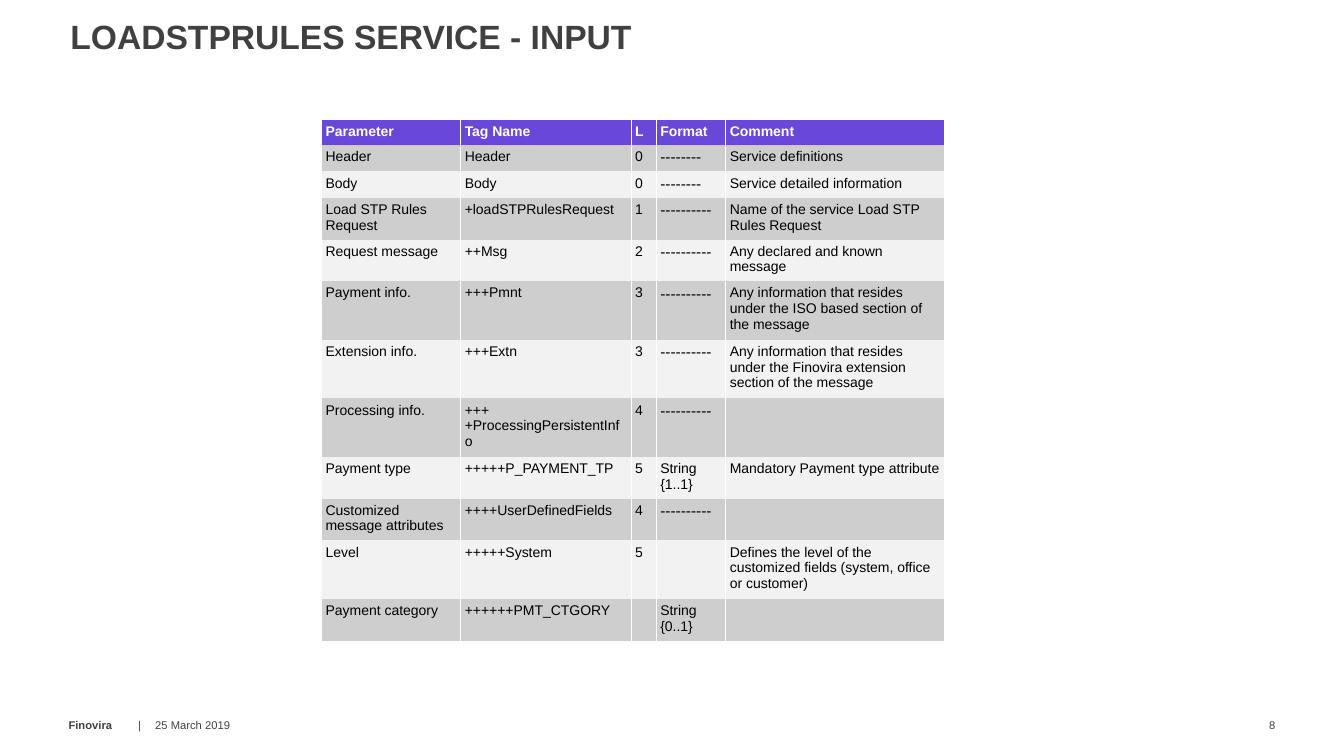
import pptx
import pptx.dml.color
import pptx.enum.text
import pptx.oxml.ns
import pptx.util
from lxml import etree

COLORS = {"title": "404040", "footer": "414141", "header": "6948D9",
          "odd": "CECECE", "even": "F2F2F2", "white": "FFFFFF", "black": "000000"}
FONT = "Arial"
ALIGN = pptx.enum.text.PP_ALIGN
ANCHOR = pptx.enum.text.MSO_ANCHOR

COLUMN_WEIGHTS = [1.38, 1.69, 0.25, 0.69, 2.17]
HEADER_WEIGHT = 23
LINE_WEIGHTS = {1: 25.5, 2: 39, 3: 55}
HEADINGS = ["Parameter", "Tag Name", "L", "Format", "Comment"]
SHORT_DASHES = "-" * 8
DASHES = "-" * 10
# Each row starts with the number of text lines it holds.
PARAMETERS = [
    (1, "Header", "Header", "0", SHORT_DASHES, "Service definitions"),
    (1, "Body", "Body", "0", SHORT_DASHES, "Service detailed information"),
    (2, "Load STP Rules Request", "+loadSTPRulesRequest", "1", DASHES,
     "Name of the service Load STP Rules Request"),
    (2, "Request message", "++Msg", "2", DASHES, "Any declared and known message"),
    (3, "Payment info.", "+++Pmnt", "3", DASHES,
     "Any information that resides under the ISO based section of the message"),
    (3, "Extension info.", "+++Extn", "3", DASHES,
     "Any information that resides under the Finovira extension section of the message"),
    (3, "Processing info.", "++++ProcessingPersistentInfo", "4", DASHES, ""),
    (2, "Payment type", "+++++P_PAYMENT_TP", "5", "String {1..1}",
     "Mandatory Payment type attribute"),
    (2, "Customized message attributes", "++++UserDefinedFields", "4", DASHES, ""),
    (3, "Level", "+++++System", "5", "",
     "Defines the level of the customized fields (system, office or customer)"),
    (2, "Payment category", "++++++PMT_CTGORY", "", "String {0..1}", ""),
]


def share(box, left, top, width, height):
    """Return the part of box given in percent of its size."""
    x, y, w, h = box
    return (int(x + w * left / 100), int(y + h * top / 100),
            int(w * width / 100), int(h * height / 100))


def style(font, size, color, bold=False):
    font.name = FONT
    font.size = pptx.util.Pt(size)
    font.bold = bold
    font.color.rgb = pptx.dml.color.RGBColor.from_string(COLORS[color])


def add_title(page, box):
    frame = page.shapes.add_textbox(*box).text_frame
    frame.word_wrap = True
    frame.text = "LOADSTPRULES SERVICE - INPUT"
    para = frame.paragraphs[0]
    para.line_spacing = 0.8
    style(para.runs[0].font, 24, "title", True)


def add_footer_text(page, box, text, align=ALIGN.LEFT):
    frame = page.shapes.add_textbox(*box).text_frame
    frame.word_wrap = True
    frame.vertical_anchor = ANCHOR.MIDDLE
    frame.margin_left = frame.margin_right = frame.margin_top = frame.margin_bottom = 0
    frame.text = text
    para = frame.paragraphs[0]
    para.alignment = align
    style(para.runs[0].font, 8, "footer")
    return para


def add_footer(page, box):
    owner = add_footer_text(page, share(box, 0, 0, 7.44, 100), "Finovira")
    owner.runs[0].font.bold = True
    tabs = etree.SubElement(owner._p.get_or_add_pPr(), pptx.oxml.ns.qn("a:tabLst"))
    etree.SubElement(tabs, pptx.oxml.ns.qn("a:tab"),
                     pos=str(pptx.util.Inches(0.69)), algn="l")
    divider = owner.add_run()
    divider.text = "\t|"
    style(divider.font, 8, "footer")
    add_footer_text(page, share(box, 7.18, 0, 12.78, 100), "25 March 2019")
    add_footer_text(page, share(box, 95.49, 0, 4.51, 100), "8", ALIGN.RIGHT)


def set_borders(cell):
    """Draw white lines left and right of the cell, none above and below."""
    properties = cell._tc.get_or_add_tcPr()
    for index, side in enumerate(["lnL", "lnR", "lnT", "lnB"]):
        line = etree.Element(pptx.oxml.ns.qn("a:" + side), w=str(pptx.util.Pt(1)))
        if side in ("lnL", "lnR"):
            fill = etree.SubElement(line, pptx.oxml.ns.qn("a:solidFill"))
            etree.SubElement(fill, pptx.oxml.ns.qn("a:srgbClr"), val=COLORS["white"])
        else:
            etree.SubElement(line, pptx.oxml.ns.qn("a:noFill"))
        properties.insert(index, line)


def fill_cell(cell, text, fill, is_header):
    cell.fill.solid()
    cell.fill.fore_color.rgb = pptx.dml.color.RGBColor.from_string(COLORS[fill])
    set_borders(cell)
    margin = pptx.util.Inches(0.04)
    cell.margin_left = cell.margin_right = cell.margin_top = cell.margin_bottom = margin
    if not text:
        return
    cell.text = text
    para = cell.text_frame.paragraphs[0]
    para.space_before = pptx.util.Pt(2 if is_header else 3)
    para.space_after = pptx.util.Pt(2)
    size = 11 if text.startswith("-") else 10
    style(para.runs[0].font, size, "white" if is_header else "black", is_header)


def add_parameter_table(page, box):
    width, height = box[2:]
    rows = [HEADINGS] + [list(texts) for _, *texts in PARAMETERS]
    row_weights = [HEADER_WEIGHT] + [LINE_WEIGHTS[lines] for lines, *_ in PARAMETERS]
    table = page.shapes.add_table(len(rows), len(HEADINGS), *box).table
    table.horz_banding = False
    for column, weight in zip(table.columns, COLUMN_WEIGHTS):
        column.width = int(width * weight / sum(COLUMN_WEIGHTS))
    for row, weight in zip(table.rows, row_weights):
        row.height = int(height * weight / sum(row_weights))
    for number, texts in enumerate(rows):
        fill = "header" if number == 0 else ("even", "odd")[number % 2]
        for cell, text in zip(table.rows[number].cells, texts):
            fill_cell(cell, text, fill, number == 0)


def main():
    deck = pptx.Presentation()
    deck.slide_width = pptx.util.Inches(13.33)
    deck.slide_height = pptx.util.Inches(7.5)
    page = deck.slides.add_slide(deck.slide_layouts[6])
    whole = (0, 0, deck.slide_width, deck.slide_height)
    add_footer(page, share(whole, 5.1, 93.2, 89.8, 5.33))
    add_title(page, share(whole, 4.5, 2.53, 80.12, 9.73))
    add_parameter_table(page, share(whole, 23.93, 15.87, 46.36, 64.7))
    deck.save("out.pptx")


if __name__ == "__main__":
    main()
